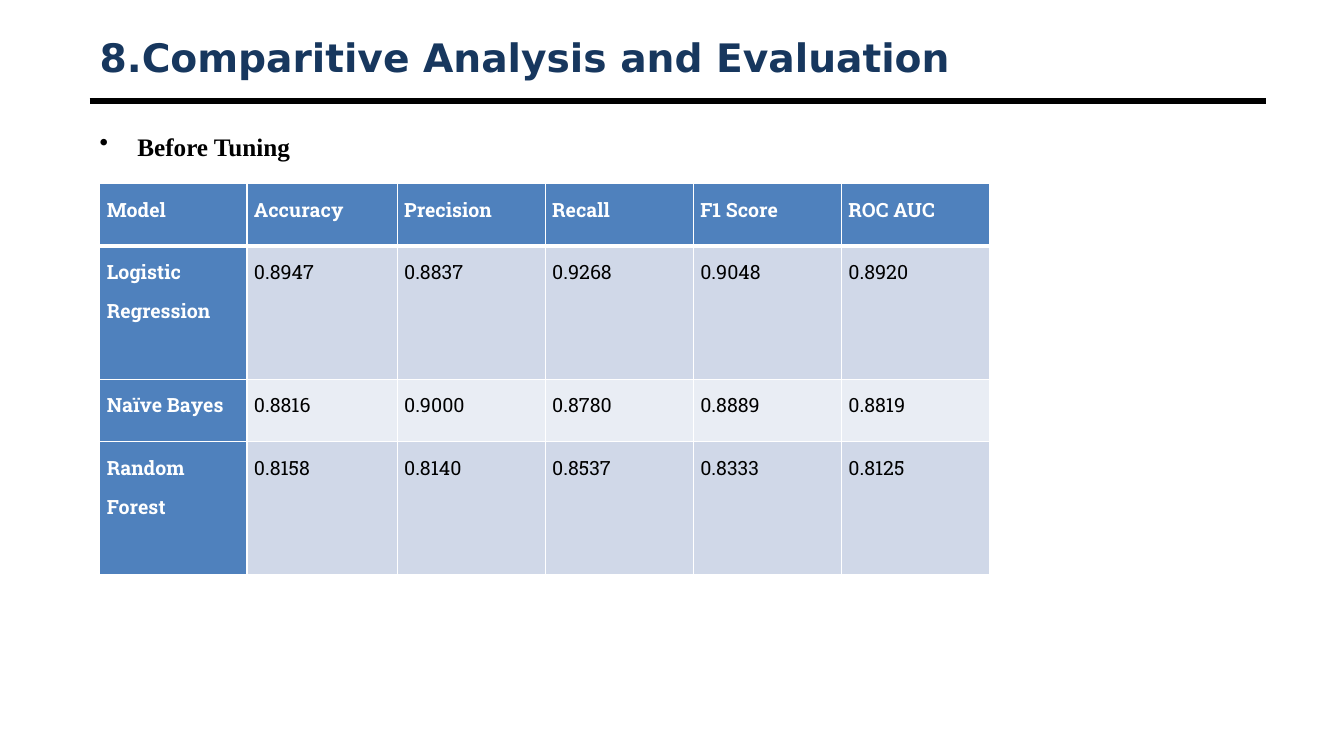
from dataclasses import dataclass

from lxml import etree
from pptx import Presentation
from pptx.dml.color import RGBColor
from pptx.enum.shapes import MSO_CONNECTOR
from pptx.enum.text import MSO_ANCHOR, MSO_AUTO_SIZE, PP_ALIGN
from pptx.oxml.ns import qn
from pptx.util import Pt

STRAIGHT = MSO_CONNECTOR.STRAIGHT
MIDDLE = MSO_ANCHOR.MIDDLE
NO_FIT = MSO_AUTO_SIZE.NONE
LEFT, JUSTIFY = PP_ALIGN.LEFT, PP_ALIGN.JUSTIFY

COLORS = {
    "title": "17375E",
    "text": "000000",
    "white": "FFFFFF",
    "head": "4F81BD",
    "odd": "D0D8E8",
    "even": "E9EDF4",
}
EDGE, SPAN = 64, 840
WIDTHS = [105.1, 107.3, 105.8, 105.8, 105.8, 105.8]
LABELS = ["Model", "Accuracy", "Precision", "Recall", "F1 Score", "ROC AUC"]


@dataclass
class Score:
    """One model with its scores as shown."""

    model: str
    marks: list[str]
    height: float


SCORES = [
    Score("Logistic Regression", ["0.8947", "0.8837", "0.9268", "0.9048", "0.8920"], 95),
    Score("Naïve Bayes", ["0.8816", "0.9000", "0.8780", "0.8889", "0.8819"], 44.6),
    Score("Random Forest", ["0.8158", "0.8140", "0.8537", "0.8333", "0.8125"], 95),
]


def color(name: str) -> RGBColor:
    """Look up a named colour."""
    return RGBColor.from_string(COLORS[name])


def style(para, face: str, size: float, ink: str, bold: bool = True) -> None:
    """Set the font of a paragraph."""
    font = para.font
    font.name, font.size, font.bold = face, Pt(size), bold
    font.color.rgb = color(ink)


def place(shape, left: float, top: float, width: float, height: float) -> None:
    """Move and size a shape in points."""
    shape.left, shape.top = Pt(left), Pt(top)
    shape.width, shape.height = Pt(width), Pt(height)


def draw_title(slide) -> None:
    """Fill the title and draw the rule below it."""
    title = slide.shapes.title
    place(title, EDGE, 21.6, SPAN, 38.2)
    frame = title.text_frame
    frame.text = "8.Comparitive Analysis and Evaluation"
    frame.auto_size, frame.vertical_anchor = NO_FIT, MIDDLE
    para = frame.paragraphs[0]
    para.alignment = LEFT
    style(para, "DejaVu Sans", 28, "title")
    rule = slide.shapes.add_connector(STRAIGHT, Pt(EDGE), Pt(72), Pt(EDGE + SPAN), Pt(72))
    rule.line.color.rgb = color("text")
    rule.line.width = Pt(4.5)
    etree.SubElement(rule.element.spPr, qn("a:effectLst"))


def draw_point(slide) -> None:
    """Write the bullet above the table."""
    box = slide.shapes.add_textbox(Pt(EDGE), Pt(90), Pt(SPAN), Pt(390))
    frame = box.text_frame
    frame.word_wrap = True
    para = frame.paragraphs[0]
    para.text = "Before Tuning"
    para.space_before = Pt(3.6)
    style(para, "Times New Roman", 18, "text")
    props = para._p.get_or_add_pPr()
    props.set("marL", str(Pt(27)))
    props.set("indent", str(-Pt(27)))
    bullet = etree.Element(qn("a:buChar"), char="•")
    props.find(qn("a:defRPr")).addprevious(bullet)


def add_edge(cell, side: str, width: float) -> None:
    """Add one white border to a cell."""
    line = etree.SubElement(cell._tc.get_or_add_tcPr(), qn(f"a:ln{side}"), w=str(Pt(width)))
    fill = etree.SubElement(line, qn("a:solidFill"))
    etree.SubElement(fill, qn("a:srgbClr"), val=COLORS["white"])


def fill_cell(cell, text: str, row: int, head: bool) -> None:
    """Write and format one table cell."""
    for side in "LRTB":
        thick = (row, side) in ((0, "B"), (1, "T"))
        add_edge(cell, side, 3 if thick else 1)
    band = "odd" if row % 2 else "even"
    cell.fill.solid()
    cell.fill.fore_color.rgb = color("head" if head else band)
    cell.margin_left = cell.margin_right = Pt(5)
    cell.margin_top = cell.margin_bottom = Pt(0)
    cell.text = text
    para = cell.text_frame.paragraphs[0]
    para.alignment, para.line_spacing = JUSTIFY, 1.5
    style(para, "Roboto Slab", 14, "white" if head else "text", head)


def draw_table(slide) -> None:
    """Draw the table of model scores."""
    rows = [LABELS] + [[score.model, *score.marks] for score in SCORES]
    heights = [44.6] + [score.height for score in SCORES]
    frame = slide.shapes.add_table(
        len(rows), len(LABELS), Pt(71.3), Pt(131.3), Pt(sum(WIDTHS)), Pt(sum(heights))
    )
    table = frame.table
    table.first_col = True
    for column, width in zip(table.columns, WIDTHS):
        column.width = Pt(width)
    for row, (texts, height) in enumerate(zip(rows, heights)):
        table.rows[row].height = Pt(height)
        for col, text in enumerate(texts):
            fill_cell(table.cell(row, col), text, row, row == 0 or col == 0)


def main() -> None:
    """Build and save the slide."""
    deck = Presentation()
    deck.slide_width, deck.slide_height = Pt(960), Pt(540)
    slide = deck.slides.add_slide(deck.slide_layouts[5])
    draw_title(slide)
    draw_point(slide)
    draw_table(slide)
    deck.save("out.pptx")


if __name__ == "__main__":
    main()
